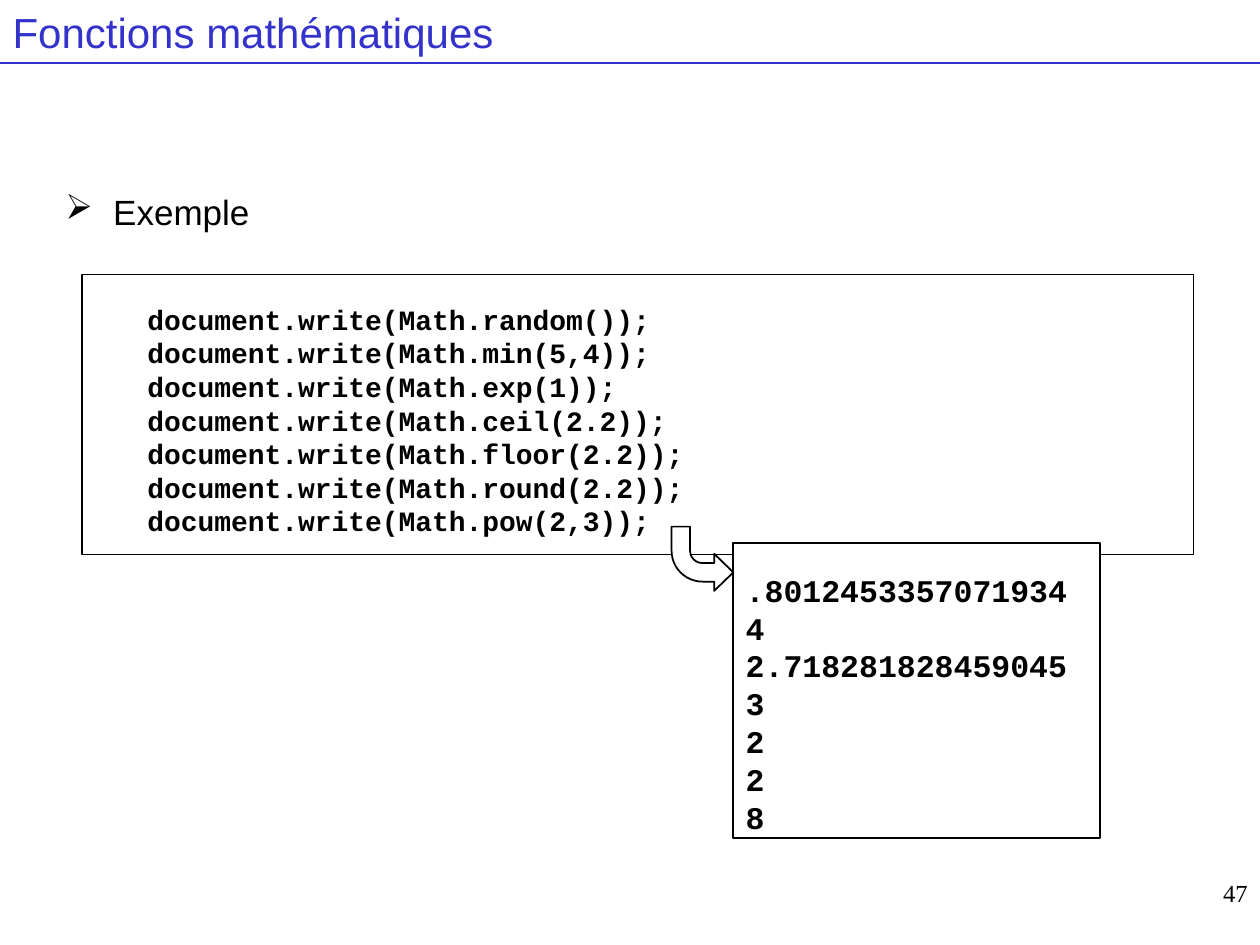
from lxml.etree import SubElement
from pptx import Presentation
from pptx.dml.color import RGBColor
from pptx.enum.shapes import MSO_CONNECTOR as Conn, MSO_SHAPE as Shape
from pptx.enum.text import MSO_ANCHOR as Anchor, PP_ALIGN as Align
from pptx.oxml.ns import qn
from pptx.util import Inches, Pt

BLACK, WHITE, BLUE = "000000", "FFFFFF", "3333CC"


def color(code):
    return RGBColor.from_string(code)


class Page:
    """Holds the style and the current slide."""

    sans, mono, serif = "Arial", "Courier New", "Times New Roman"

    def __init__(self, deck):
        self.slide = deck.slides.add_slide(deck.slide_layouts[5])
        self.shapes = self.slide.shapes

    def put(self, frame, lines, font, size, ink=BLACK, bold=False,
            align=Align.LEFT, gap=None):
        frame.word_wrap = True
        frame.text = "\n".join(lines)
        for para in frame.paragraphs:
            para.alignment = align
            para.line_spacing = gap
            para.font.name, para.font.size = font, Pt(size)
            para.font.bold = bold
            para.font.color.rgb = color(ink)

    def title(self, text, width, height):
        box = self.shapes.title
        box.left, box.top = Inches(0), Inches(0)
        box.width, box.height = Inches(width), Inches(height)
        box.text_frame.vertical_anchor = Anchor.MIDDLE
        self.put(box.text_frame, [text], self.sans, 24, BLUE)

    def rule(self, y, width):
        line = self.shapes.add_connector(
            Conn.STRAIGHT, Inches(0), Inches(y), Inches(width), Inches(y))
        line.line.color.rgb = color(BLUE)
        line.line.width = Pt(0.75)
        SubElement(line._element.spPr, qn("a:effectLst"))

    def text(self, place, text, font, size, align=Align.LEFT):
        box = self.shapes.add_textbox(*map(Inches, place))
        self.put(box.text_frame, [text], font, size, align=align)
        return box.text_frame.paragraphs[0]

    def bullet(self, place, text):
        para = self.text(place, text, self.sans, 20)
        para.space_before = Pt(5)
        props = para._p.get_or_add_pPr()
        props.set("marL", str(Inches(0.38)))
        props.set("indent", str(-Inches(0.38)))
        mark = SubElement(props, qn("a:buChar"))
        mark.set("char", "➢")
        props.find(qn("a:defRPr")).addprevious(mark)

    def shape(self, kind, place, width, fill=WHITE):
        form = self.shapes.add_shape(kind, *map(Inches, place))
        form.shadow.inherit = False
        if fill:
            form.fill.solid()
            form.fill.fore_color.rgb = color(fill)
        else:
            form.fill.background()
        form.line.color.rgb = color(BLACK)
        form.line.width = Pt(width)
        return form

    def code(self, place, lines, size, width, left=0.1, fill=WHITE):
        frame = self.shape(Shape.RECTANGLE, place, width, fill).text_frame
        frame.margin_left, frame.margin_top = Inches(left), Inches(0.22)
        frame.vertical_anchor = Anchor.TOP
        self.put(frame, lines, self.mono, size, bold=True,
                 gap=Pt(1.2 * size))

    def arrow(self, place):
        form = self.shape(Shape.BENT_ARROW, place, 1)
        for i, part in enumerate((0.3, 0.3, 0.31, 0.5)):
            form.adjustments[i] = part
        form._element.spPr.find(qn("a:xfrm")).set("flipV", "1")


def main():
    deck = Presentation()
    deck.slide_width, deck.slide_height = Inches(10), Inches(7.5)
    page = Page(deck)

    # Heading
    page.rule(0.5, 10)
    page.title("Fonctions mathématiques", 10, 0.5)
    page.bullet((0.42, 1.46, 9.47, 0.5), "Exemple")

    # Calls and their results
    calls = ["random()", "min(5,4)", "exp(1)", "ceil(2.2)",
             "floor(2.2)", "round(2.2)", "pow(2,3)"]
    page.code((0.65, 2.18, 8.82, 2.22),
              [f"document.write(Math.{call});" for call in calls],
              16, 0.75, left=0.52, fill=None)
    page.code((5.82, 4.31, 2.91, 2.34),
              [".8012453357071934", "4", "2.718281828459045",
               "3", "2", "2", "8"], 18, 1)
    page.arrow((5.33, 4.18, 0.49, 0.51))

    # Page number
    page.text((7.92, 6.92, 2.08, 0.5), "47", page.serif, 14, Align.RIGHT)

    deck.save("out.pptx")


if __name__ == "__main__":
    main()
